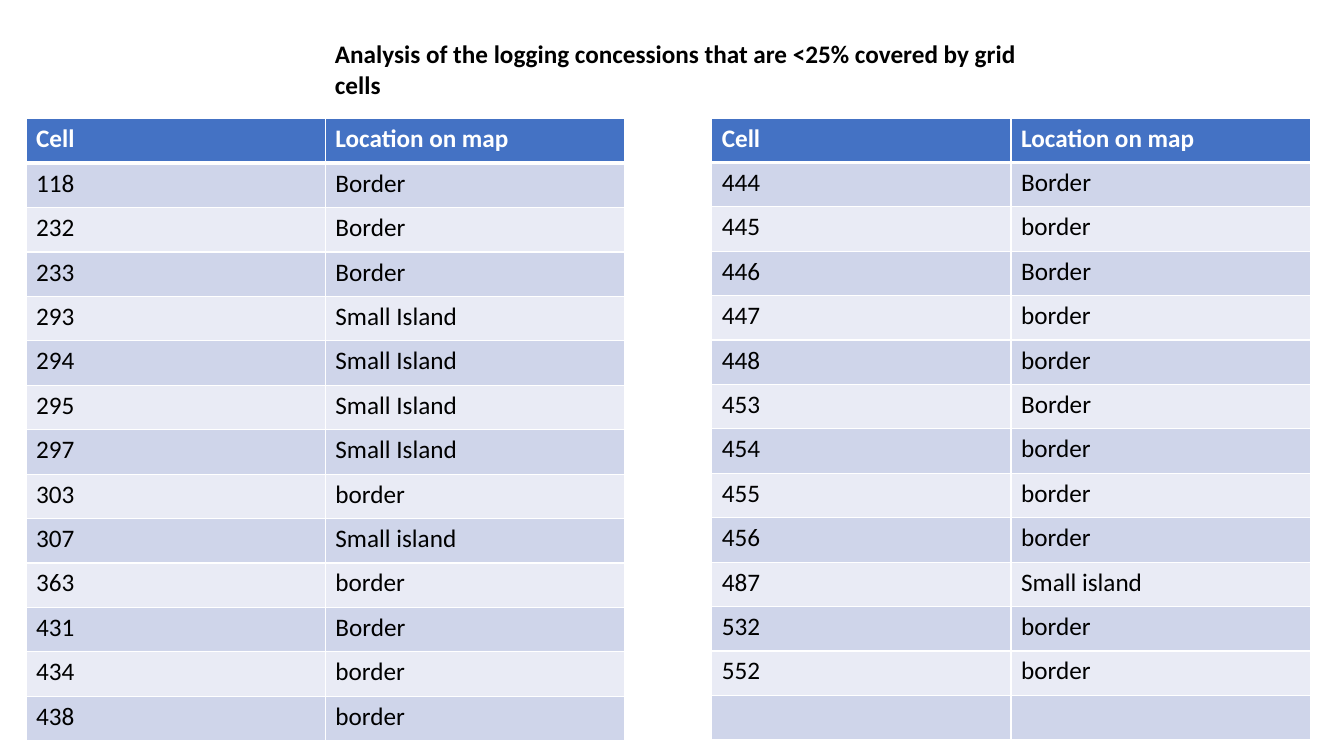
from pptx import Presentation
from pptx.util import Pt
from pptx.dml.color import RGBColor
from pptx.oxml import parse_xml
from pptx.oxml.ns import nsdecls

TITLE = "Analysis of the logging concessions that are <25% covered by grid cells"
HEAD = ("Cell", "Location on map")
LEFT = [
    ("118", "Border"), ("232", "Border"), ("233", "Border"),
    ("293", "Small Island"), ("294", "Small Island"),
    ("295", "Small Island"), ("297", "Small Island"),
    ("303", "border"), ("307", "Small island"), ("363", "border"),
    ("431", "Border"), ("434", "border"), ("438", "border"),
]
RIGHT = [
    ("444", "Border"), ("445", "border"), ("446", "Border"),
    ("447", "border"), ("448", "border"), ("453", "Border"),
    ("454", "border"), ("455", "border"), ("456", "border"),
    ("487", "Small island"), ("532", "border"), ("552", "border"),
    ("", ""),
]
TABLES = [(18.6, 84.9, LEFT), (508.4, 84.3, RIGHT)]

FONT = "Calibri"
SIZE = 18
COL_W = 213.8
ROW_H = 31.73
WHITE = RGBColor(0xFF, 0xFF, 0xFF)
BLACK = RGBColor(0, 0, 0)
BLUE = RGBColor(0x44, 0x72, 0xC4)
BANDS = (RGBColor(0xE9, 0xEB, 0xF5), RGBColor(0xCF, 0xD5, 0xEA))


def style(frame, color, bold):
    for para in frame.paragraphs:
        for run in para.runs:
            font = run.font
            font.name, font.size, font.bold = FONT, Pt(SIZE), bold
            font.color.rgb = color


def edge(cell, row):
    widths = {"L": 1, "R": 1, "T": 3 if row == 1 else 1, "B": 3 if row == 0 else 1}
    props = cell._tc.get_or_add_tcPr()
    for pos, (side, width) in enumerate(widths.items()):
        props.insert(pos, parse_xml(
            f'<a:ln{side} {nsdecls("a")} w="{Pt(width)}"><a:solidFill>'
            f'<a:srgbClr val="{WHITE}"/></a:solidFill></a:ln{side}>'))


def add_grid(slide, left, top, body):
    rows = [HEAD] + body
    table = slide.shapes.add_table(
        len(rows), len(HEAD), Pt(left), Pt(top),
        Pt(COL_W * len(HEAD)), Pt(ROW_H * len(rows))).table
    for col in table.columns:
        col.width = Pt(COL_W)
    for r, texts in enumerate(rows):
        table.rows[r].height = Pt(ROW_H)
        for c, text in enumerate(texts):
            cell = table.cell(r, c)
            cell.text_frame.text = text
            style(cell.text_frame, BLACK if r else WHITE, r == 0)
            cell.fill.solid()
            cell.fill.fore_color.rgb = BANDS[r % 2] if r else BLUE
            edge(cell, r)


def main():
    deck = Presentation()
    deck.slide_width, deck.slide_height = Pt(960), Pt(540)
    slide = deck.slides.add_slide(deck.slide_layouts[6])
    for left, top, body in TABLES:
        add_grid(slide, left, top, body)
    title = slide.shapes.add_textbox(Pt(232.2), Pt(24), Pt(537), Pt(29))
    title.text_frame.word_wrap = True
    title.text_frame.text = TITLE
    style(title.text_frame, BLACK, True)
    deck.save("out.pptx")


if __name__ == "__main__":
    main()
